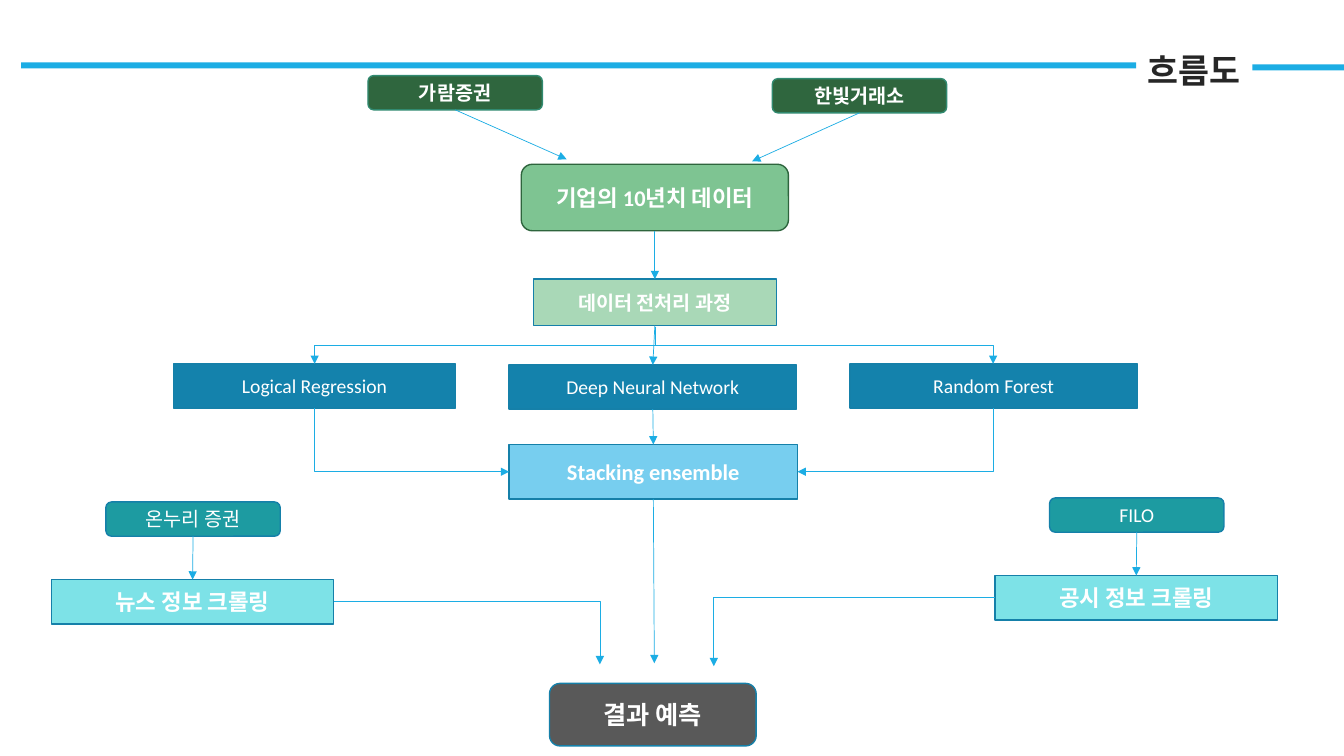
from lxml import etree
from pptx import Presentation
from pptx import util as u
from pptx.dml.color import RGBColor
from pptx.enum import shapes, text
from pptx.oxml.ns import qn

COLORS = {
    "line": "1CADE4", "edge": "1580A9", "ink": "262626", "white": "FFFFFF",
    "pine": "2F663E", "moss": "318A70", "green": "7EC492", "rim": "2E653D",
    "mint": "A9D8B7", "blue": "1482AC", "sky": "77CEEF", "teal": "1D9BA1",
    "aqua": "7DE2E7", "gray": "595959",
}
RECT = shapes.MSO_SHAPE.RECTANGLE
ROUND = shapes.MSO_SHAPE.ROUNDED_RECTANGLE
TOP, BOTTOM = 0, 2


class Chart:
    font = "Calibri"

    def __init__(self, slide):
        self.items = slide.shapes

    def color(self, name):
        return RGBColor.from_string(COLORS[name])

    def label(self, frame, words, size, bold, color):
        run = frame.paragraphs[0].add_run()
        run.text = words
        run.font.name = self.font
        run.font.size = u.Pt(size)
        run.font.bold = bold
        run.font.color.rgb = self.color(color)

    def bar(self, x, y, w, h, fill="line", kind=RECT):
        shape = self.items.add_shape(kind, *map(u.Inches, (x, y, w, h)))
        shape.shadow.inherit = False
        shape.fill.solid()
        shape.fill.fore_color.rgb = self.color(fill)
        shape.line.fill.background()
        return shape

    def box(self, words, x, y, w, h, fill, size=14, bold=True, kind=RECT, edge="edge"):
        shape = self.bar(x, y, w, h, fill, kind)
        shape.line.color.rgb = self.color(edge)
        shape.line.width = u.Pt(1)
        frame = shape.text_frame
        frame.word_wrap = True
        frame.vertical_anchor = text.MSO_ANCHOR.MIDDLE
        frame.paragraphs[0].alignment = text.PP_ALIGN.CENTER
        self.label(frame, words, size, bold, "white")
        return shape

    def title(self, words, x, y, w, h):
        frame = self.items.add_textbox(*map(u.Inches, (x, y, w, h))).text_frame
        frame.word_wrap = True
        frame.auto_size = text.MSO_AUTO_SIZE.SHAPE_TO_FIT_TEXT
        self.label(frame, words, 24, True, "ink")

    def link(self, kind, start, end):
        line = self.items.add_connector(kind, *map(u.Inches, start + end))
        line.line.color.rgb = self.color("line")
        line.line.width = u.Pt(0.5)
        props = line._element.spPr
        etree.SubElement(props.find(qn("a:ln")), qn("a:tailEnd"), type="triangle")
        etree.SubElement(props, qn("a:effectLst"))
        return line

    def arrow(self, source, target):
        """Straight arrow from a box's bottom to a box's top or to a point."""
        free = isinstance(target, tuple)
        end = target if free else (0, 0)
        line = self.link(shapes.MSO_CONNECTOR.STRAIGHT, (0, 0), end)
        line.begin_connect(source, BOTTOM)
        if not free:
            line.end_connect(target, TOP)

    def side(self, start, end):
        """Elbow that runs across first and turns down at its far end."""
        line = self.link(shapes.MSO_CONNECTOR.ELBOW, start, end)
        geom = line._element.spPr.find(qn("a:prstGeom"))
        guides = geom.find(qn("a:avLst"))
        if guides is None:
            guides = etree.SubElement(geom, qn("a:avLst"))
        etree.SubElement(guides, qn("a:gd"), name="adj1", fmla="val 100000")

    def drop(self, start, end, form="bentConnector3"):
        """Elbow that runs down first, so its frame is turned a quarter."""
        line = self.link(shapes.MSO_CONNECTOR.ELBOW, start, end)
        (x1, y1), (x2, y2) = start, end
        w, h = abs(y2 - y1), abs(x2 - x1)
        line.left = u.Inches((x1 + x2 - w) / 2)
        line.top = u.Inches((y1 + y2 - h) / 2)
        line.width, line.height = u.Inches(w), u.Inches(h)
        props = line._element.spPr
        frame = props.find(qn("a:xfrm"))
        right = x2 > x1
        frame.set("rot", str((270 if right else 90) * 60000))
        frame.set("flipH", "1" if right else "0")
        props.find(qn("a:prstGeom")).set("prst", form)


def main():
    deck = Presentation()
    deck.slide_width, deck.slide_height = u.Inches(13.33), u.Inches(7.5)
    flow = Chart(deck.slides.add_slide(deck.slide_layouts[6]))

    # Heading
    flow.bar(0.21, 0.62, 11.06, 0.06)
    flow.bar(12.42, 0.64, 0.91, 0.06)
    flow.title("흐름도", 11.28, 0.45, 2.05, 0.5)

    # Data sources and cleaning
    data = flow.box("기업의 10년치 데이터", 5.17, 1.63, 2.65, 0.66, "green", 16,
                    kind=ROUND, edge="rim")
    clean = flow.box("데이터 전처리 과정", 5.29, 2.77, 2.41, 0.46, "mint")
    for name, x, y, tip in (("가람증권", 3.65, 0.75, (5.62, 1.58)),
                            ("한빛거래소", 7.66, 0.78, (7.46, 1.6))):
        feed = flow.box(name, x, y, 1.73, 0.34, "pine", kind=ROUND, edge="moss")
        flow.arrow(feed, tip)
    flow.arrow(data, clean)

    # Models and ensemble
    stack = flow.box("Stacking ensemble", 5.05, 4.41, 2.86, 0.54, "sky", 16)
    deep = flow.box("Deep Neural Network", 5.05, 3.62, 2.85, 0.44, "blue", bold=False)
    for name, x, w, mid, edge in (("Logical Regression", 1.72, 2.8, 3.12, 5.05),
                                  ("Random Forest", 8.43, 2.85, 9.85, 7.91)):
        flow.box(name, x, 3.61, w, 0.44, "blue", bold=False)
        flow.drop((6.5, 3.24), (mid, 3.61))
        flow.drop((mid, 4.05), (edge, 4.68), "bentConnector2")
    flow.arrow(clean, deep)
    flow.arrow(deep, stack)
    flow.arrow(stack, (6.49, 6.58))

    # Crawled news and filings
    for site, job, x, y, edge, tip in (
            ("온누리 증권", "뉴스 정보 크롤링", 0.51, 4.98, 3.31, (5.95, 6.59)),
            ("FILO", "공시 정보 크롤링", 9.87, 4.94, 9.87, (7.08, 6.61))):
        web = flow.box(site, x + 0.54, y, 1.73, 0.34, "teal", bold=False, kind=ROUND)
        crawl = flow.box(job, x, y + 0.77, 2.8, 0.44, "aqua", 16)
        flow.arrow(web, crawl)
        flow.side((edge, y + 0.99), tip)

    # Outcome
    flow.box("결과 예측", 5.45, 6.78, 2.05, 0.62, "gray", 18, kind=ROUND)

    deck.save("out.pptx")


if __name__ == "__main__":
    main()
